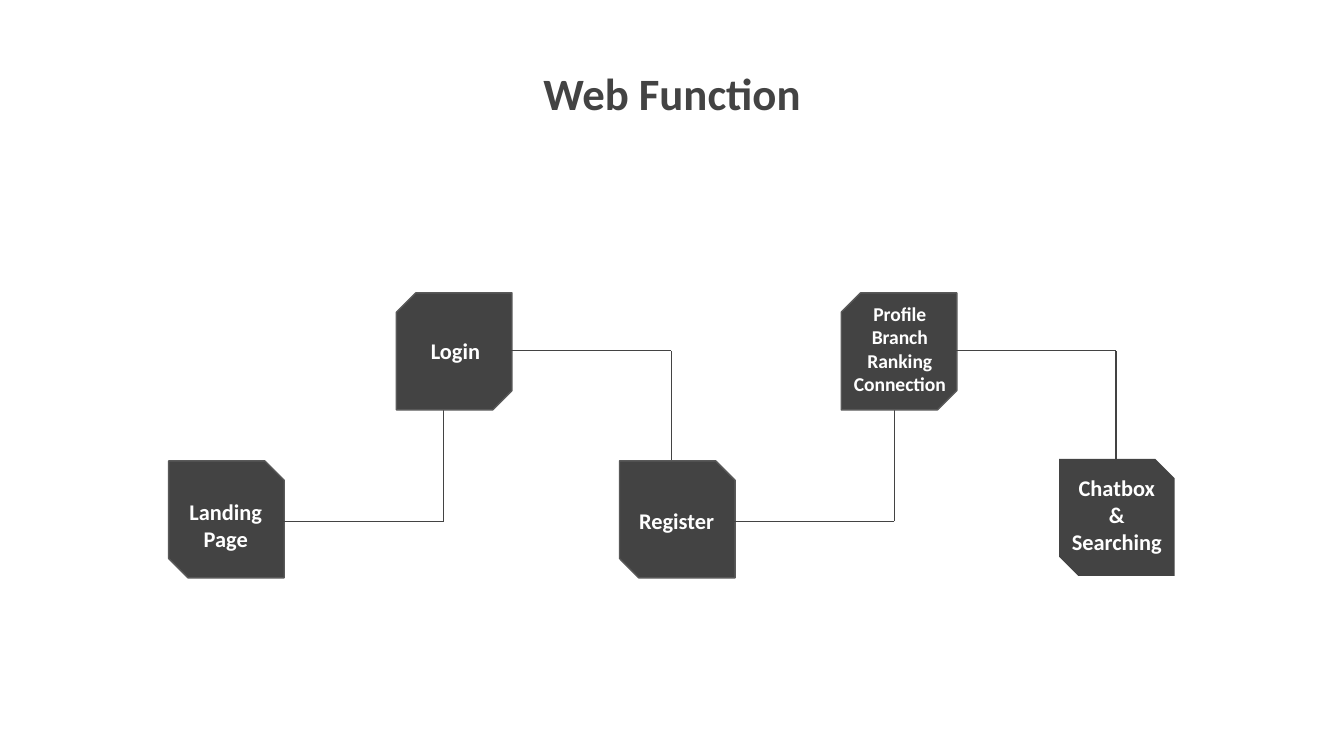
from lxml.etree import SubElement
from pptx import Presentation
from pptx.dml.color import RGBColor
from pptx.enum.shapes import MSO_CONNECTOR as Connector, MSO_SHAPE as Shape
from pptx.enum.text import MSO_ANCHOR as Anchor, MSO_AUTO_SIZE as AutoSize, PP_ALIGN as Align
from pptx.oxml.ns import qn
from pptx.util import Inches, Pt

WIDTH = 10
HEIGHT = WIDTH * 9 / 16
CELL = 0.1
DARK, EDGE, WHITE = "434343", "595959", "FFFFFF"
CARD_SIZE = (8.6, 8.7)
UPPER, LOWER, LAST = 21.8, 34.3, 34.15
LINK_START, LINK_RUN, LINK_DROP = 4.05, 16.4, 10

STEPS = [
    (12.55, LOWER, 38.8, ["Landing Page"], (12.5, 36.1, 8.6, 4.3), {}),
    (29.5, UPPER, 26.1, ["Login"], (29.6, 24.1, 8.6, 4.3), {}),
    (46.1, LOWER, 38.8, ["Register"], (45.5, 36.7, 9.7, 4.3), {}),
    (62.6, UPPER, 26.1, ["Profile", "Branch", "Ranking", "Connection"],
     (61.2, 23.8, 11.5, 4.3), {"size": 10.5, "anchor": Anchor.MIDDLE}),
    (78.8, LAST, None, ["Chatbox", "&", "Searching"], (77.4, 34.3, 11.4, 4.3), {}),
]


def color(value):
    """Turn a hex string into a colour."""
    return RGBColor.from_string(value)


def grid(*cells):
    """Turn grid cells into lengths."""
    return [Inches(round(cell * CELL, 3)) for cell in cells]


def write(shape, lines, size=12, fill=WHITE, anchor=Anchor.TOP):
    """Write centred bold paragraphs into a shape."""
    frame = shape.text_frame
    frame.word_wrap = True
    frame.auto_size = AutoSize.NONE
    frame.vertical_anchor = anchor
    frame.margin_left = frame.margin_right = Inches(0.1)
    frame.margin_top = frame.margin_bottom = Inches(0.1)
    for index, line in enumerate(lines):
        paragraph = frame.paragraphs[0] if index == 0 else frame.add_paragraph()
        paragraph.alignment = Align.CENTER
        run = paragraph.add_run()
        run.text = line
        run.font.name, run.font.size, run.font.bold = "Calibri", Pt(size), True
        run.font.color.rgb = color(fill)


def add_title(slide, text):
    """Fill the title placeholder and remove the subtitle."""
    title, subtitle = slide.shapes.title, slide.placeholders[1]
    title.left, title.top, title.width, title.height = grid(21.5, 3.9, 57, 10.3)
    write(title, [text], size=24, fill=DARK)
    subtitle.element.getparent().remove(subtitle.element)


def add_card(slide, column, row, outlined):
    """Add a square with two snipped corners, mirrored on the upper row."""
    card = slide.shapes.add_shape(Shape.SNIP_2_DIAG_RECTANGLE, *grid(column, row, *CARD_SIZE))
    card.shadow.inherit = False
    card.adjustments[0], card.adjustments[1] = (0.167, 0) if row == UPPER else (0, 0.167)
    card.fill.solid()
    card.fill.fore_color.rgb = color(DARK)
    if outlined:
        card.line.color.rgb = color(EDGE)
        card.line.width = Pt(0.75)
    else:
        card.line.fill.background()


def add_line(slide, start, end):
    """Add a thin straight line between two grid points."""
    line = slide.shapes.add_connector(Connector.STRAIGHT, *grid(*start, *end))
    line.line.color.rgb = color(DARK)
    line.line.width = Pt(0.75)
    SubElement(line.element.spPr, qn("a:effectLst"))


def add_link(slide, column, row, rising):
    """Add a run to the side and a turn towards the next card."""
    start = (column + LINK_START, row)
    corner = (start[0] + LINK_RUN, row)
    end = (corner[0], row - LINK_DROP if rising else row + LINK_DROP)
    add_line(slide, start, corner)
    add_line(slide, corner, end)


def add_label(slide, lines, box, **style):
    """Add a text box over a card."""
    write(slide.shapes.add_textbox(*grid(*box)), lines, **style)


def main():
    """Build the slide and save it."""
    presentation = Presentation()
    presentation.slide_width, presentation.slide_height = Inches(WIDTH), Inches(HEIGHT)
    slide = presentation.slides.add_slide(presentation.slide_layouts[0])
    add_title(slide, "Web Function")
    for column, row, link_row, *_ in STEPS:
        add_card(slide, column, row, outlined=link_row is not None)
        if link_row is not None:
            add_link(slide, column, link_row, rising=row == LOWER)
    for *_, lines, box, style in STEPS:
        add_label(slide, lines, box, **style)
    presentation.save("out.pptx")


if __name__ == "__main__":
    main()
